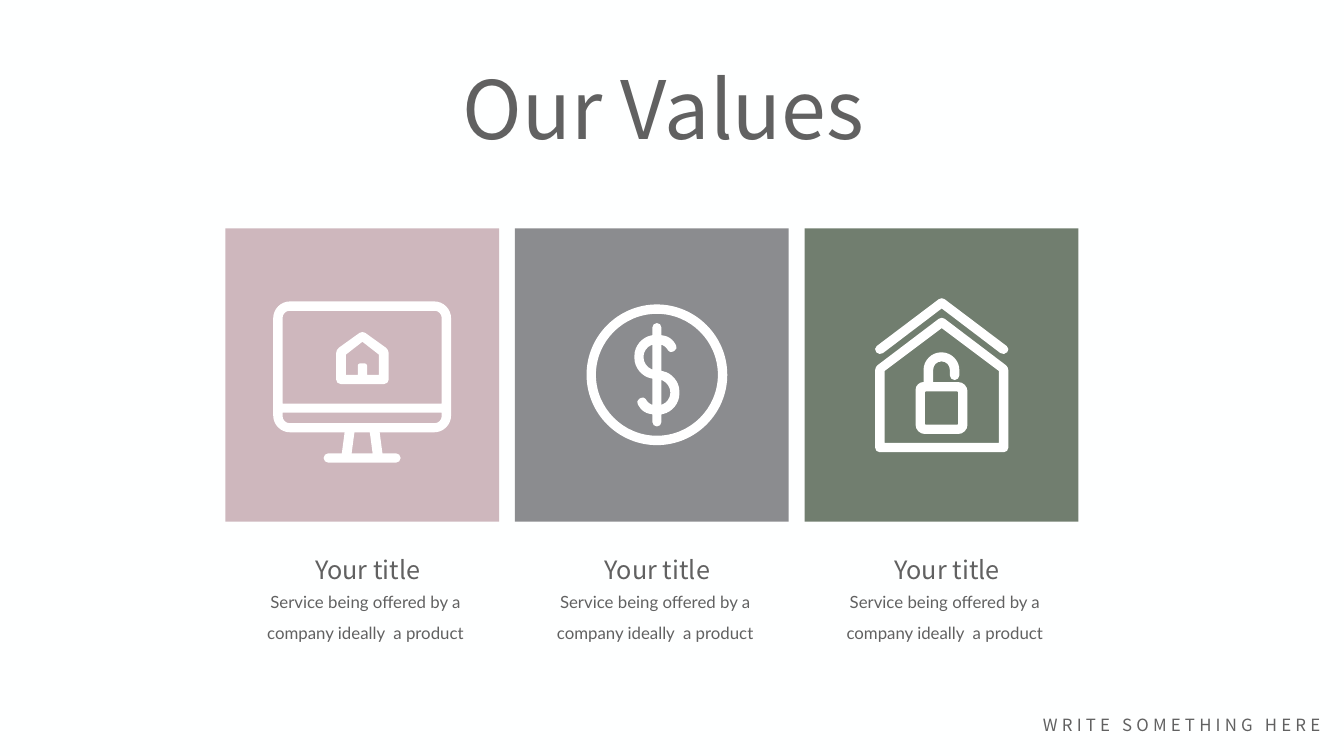
from math import dist

from pptx import Presentation
from pptx.dml.color import RGBColor
from pptx.enum.shapes import MSO_SHAPE
from pptx.enum.text import MSO_ANCHOR, MSO_AUTO_SIZE, PP_ALIGN
from pptx.oxml.ns import qn
from pptx.oxml.xmlchemy import OxmlElement
from pptx.util import Pt

RECTANGLE = MSO_SHAPE.RECTANGLE
TOP = MSO_ANCHOR.TOP
FIXED = MSO_AUTO_SIZE.NONE
CENTER = PP_ALIGN.CENTER

COLORS = {
    "background": "FEFFFF",
    "rose": "CEB7BD",
    "gray": "8B8C8F",
    "green": "717E6F",
    "icon": "FFFFFF",
    "text": "616161",
}
HEADING_FONT = "Noto Sans CJK SC"
BODY_FONT = "Lato"
TITLE_ONLY = 5
COIN_SIZE = 201
TILE_WIDTH, TILE_HEIGHT = 391, 419


def paint(fill, color):
    fill.solid()
    fill.fore_color.rgb = RGBColor.from_string(COLORS[color])


def write(holder, text, box, size, font=HEADING_FONT, insets=(7.2, 3.6),
          line_spacing=None, space_before=0, letter_spacing=None):
    holder.left, holder.top, holder.width, holder.height = map(Pt, box)
    frame = holder.text_frame
    frame.word_wrap = True
    frame.auto_size = FIXED
    frame.vertical_anchor = TOP
    frame.margin_left = frame.margin_right = Pt(insets[0])
    frame.margin_top = frame.margin_bottom = Pt(insets[1])
    paragraph = frame.paragraphs[0]
    paragraph.alignment = CENTER
    paragraph.space_before = Pt(space_before)
    if line_spacing:
        paragraph.line_spacing = Pt(line_spacing)
    run = paragraph.add_run()
    run.text = text
    run.font.size = Pt(size)
    run.font.name = font
    run.font.color.rgb = RGBColor.from_string(COLORS["text"])
    if letter_spacing:
        run.font._element.set("spc", str(letter_spacing * 100))


def add_text(slide, text, box, **style):
    write(slide.shapes.add_textbox(0, 0, 0, 0), text, box, **style)


def toward(start, end, distance):
    share = distance / dist(start, end)
    return tuple(a + (b - a) * share for a, b in zip(start, end))


def round_corners(corners):
    segments = []
    for index, (x, y, radius) in enumerate(corners):
        corner = (x, y)
        if not radius:
            segments.append([corner])
            continue
        before = toward(corner, corners[index - 1][:2], radius)
        after = toward(corner, corners[(index + 1) % len(corners)][:2], radius)
        if not segments or dist(segments[-1][-1], before) > 0.5:
            segments.append([before])
        segments.append([toward(before, corner, radius * 0.55),
                         toward(after, corner, radius * 0.55), after])
    return segments


def rounded_box(left, top, right, bottom, top_radius, bottom_radius):
    return [(left, top, top_radius), (right, top, top_radius),
            (right, bottom, bottom_radius), (left, bottom, bottom_radius)]


def mirror(half, axis):
    return half + [(2 * axis - x, y, r) for x, y, r in reversed(half) if x != axis]


def half_turn(corners):
    return [(COIN_SIZE - x, COIN_SIZE - y, r) for x, y, r in corners]


def monitor_icon():
    frame = mirror([(254, 0, 24), (254, 187, 24), (152, 187, 0),
                    (156, 217, 0), (182, 217, 6.7), (182, 230.4, 6.7)], 127)
    stand_gap = [(116, 187, 0), (138, 187, 0), (142, 217, 0), (112, 217, 0)]
    screen = rounded_box(13.4, 13.4, 240.6, 146, 10, 0)
    strip = rounded_box(13.4, 159, 240.6, 174, 0, 10)
    home = mirror([(127.4, 42, 5), (165, 69, 5), (165, 118, 6.5)], 127.4)
    home_inside = mirror([(127.4, 57.6, 0), (151, 76, 0), (151, 105, 0),
                          (134, 105, 0), (134, 88.6, 3)], 127.4)
    return [[frame, stand_gap, screen, strip], [home, home_inside]]


def coin_icon():
    edge = COIN_SIZE - 13.4
    rim = rounded_box(0, 0, COIN_SIZE, COIN_SIZE, 100.5, 100.5)
    hollow = rounded_box(13.4, 13.4, edge, edge, 87.1, 87.1)
    upper = [(107, 95, 0), (107, 57.6, 0), (113, 59.5, 5), (116, 65, 0),
             (119, 70, 5), (131, 63, 6), (127.4, 57.6, 0), (120, 46.5, 8),
             (107, 44, 0), (107, 26.6, 6.5), (94, 26.6, 6.5), (94, 44, 0),
             (68.4, 49, 24), (68.4, 101, 24)]
    loop = [(94, 57.6, 0), (81.4, 62, 12), (81.4, 88, 12), (94, 93, 0)]
    return [[rim, hollow], [upper + half_turn(upper), loop, half_turn(loop)]]


def house_icon():
    walls = mirror([(95, 26, 5), (190, 98, 4), (190, 219.6, 6)], 95)
    room = mirror([(95, 42.5, 0), (176.6, 103.7, 0), (176.6, 206.4, 0)], 95)
    roof = [(95, -2, 5), (193, 72, 6.5), (184, 82, 6.5),
            (95, 14.4, 0), (6, 82, 6.5), (-3, 72, 6.5)]
    lock = [(69, 119.5, 0), (69, 77, 25.5), (120.2, 77, 25.5),
            (120.2, 116.6, 6.7), (106.6, 116.6, 6.7), (106.6, 90, 11.8),
            (82.8, 90, 11.8), (82.8, 119.5, 0), (131.8, 119.5, 13.4),
            (131.8, 193.7, 13.4), (57.6, 193.7, 13.4), (57.6, 119.5, 11.3)]
    lock_inside = rounded_box(71, 133, 118.4, 180.5, 1, 1)
    return [[walls, room], [roof], [lock, lock_inside]]


def bend_curves(piece, segments):
    path = piece._element.find(".//" + qn("a:path"))
    lines = iter(path.findall(qn("a:lnTo")))
    for segment in segments:
        steps = [next(lines) for _ in segment]
        if len(steps) == 3:
            curve = OxmlElement("a:cubicBezTo")
            steps[0].addprevious(curve)
            for step in steps:
                curve.append(step[0])
                path.remove(step)


def draw_icon(slide, parts, left, top):
    pieces = []
    for contours in parts:
        builder = None
        drawn = []
        for corners in contours:
            start, *segments = round_corners(corners)
            origin, *outline = [(Pt(left + x), Pt(top + y))
                                for segment in [start, *segments] for x, y in segment]
            if builder is None:
                builder = slide.shapes.build_freeform(*origin)
            else:
                builder.move_to(*origin)
            builder.add_line_segments(outline, close=True)
            drawn += segments
        piece = builder.convert_to_shape()
        bend_curves(piece, drawn)
        piece.shadow.inherit = False
        paint(piece.fill, "icon")
        piece.line.fill.background()
        pieces.append(piece)
    slide.shapes.add_group_shape(pieces)


def draw_value(slide, left, top, color, icon, icon_offset):
    tile = slide.shapes.add_shape(RECTANGLE, *map(Pt, (left, top, TILE_WIDTH, TILE_HEIGHT)))
    tile.shadow.inherit = False
    paint(tile.fill, color)
    tile.line.fill.background()
    draw_icon(slide, icon, left + icon_offset[0], top + icon_offset[1])
    add_text(slide, "Your title", (left + 74.9, top + 462.2, 257, 51), size=36)
    add_text(slide, "Service being offered by a company ideally  a product",
             (left, top + 496.8, 400.3, 99.4), size=24, font=BODY_FONT,
             insets=(17.28, 8.64), line_spacing=43, space_before=4.8)


def main():
    deck = Presentation()
    deck.slide_width, deck.slide_height = Pt(1919.52), Pt(1080)
    slide = deck.slides.add_slide(deck.slide_layouts[TITLE_ONLY])
    paint(slide.background.fill, "background")
    write(slide.shapes.title, "Our Values ", (648.7, 80.6, 622.8, 146.9), size=115)
    values = [("rose", monitor_icon(), (68.4, 104.4)),
              ("gray", coin_icon(), (102.2, 108.7)),
              ("green", house_icon(), (100.8, 100.1))]
    for column, (color, icon, icon_offset) in enumerate(values):
        draw_value(slide, 321.8 + column * 413.7, 326.2, color, icon, icon_offset)
    add_text(slide, "WRITE SOMETHING HERE", (1475.3, 1018.1, 424.8, 36),
             size=24, letter_spacing=6)
    deck.save("out.pptx")


if __name__ == "__main__":
    main()
